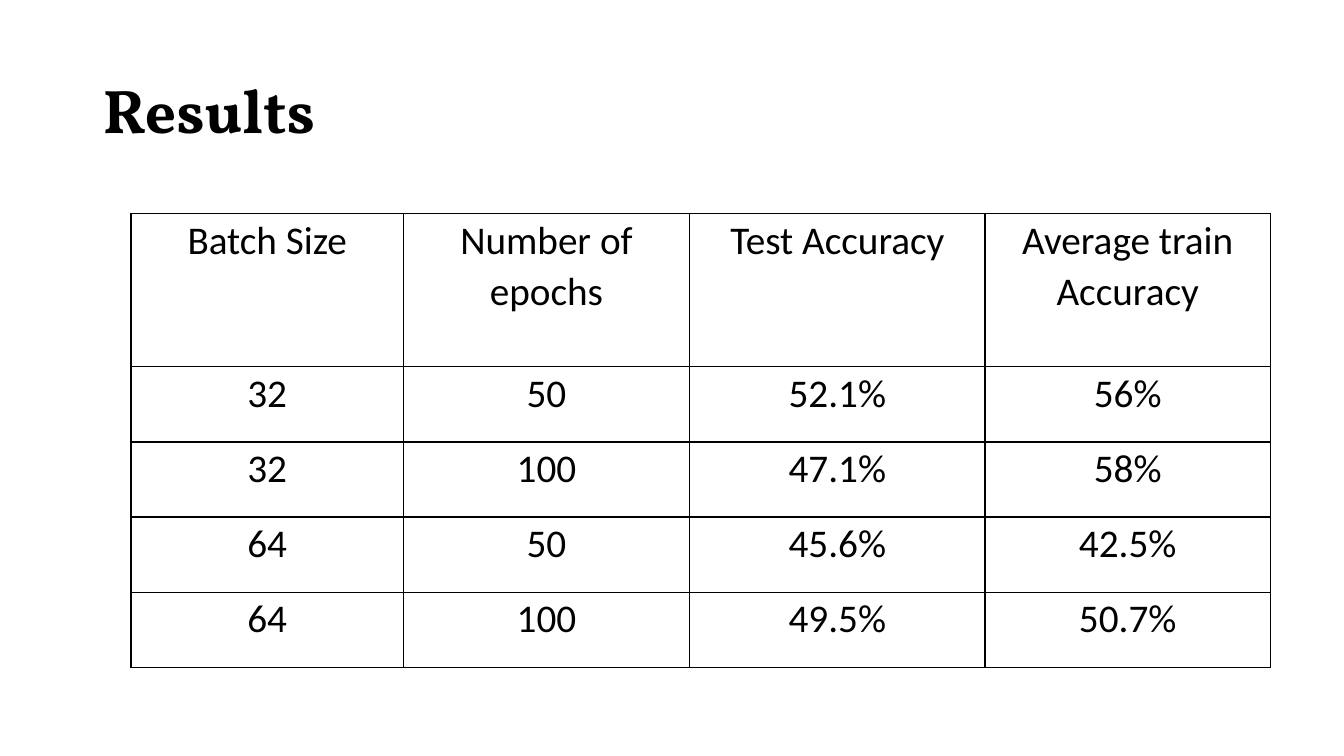
from lxml.etree import SubElement
from pptx import Presentation
from pptx.dml.color import RGBColor
from pptx.enum.text import MSO_ANCHOR, MSO_AUTO_SIZE, PP_ALIGN
from pptx.oxml.ns import qn
from pptx.util import Inches, Pt

COLORS = {"text": "000000", "border": "000000", "background": "FFFFFF"}
TITLE_FONT = {"name": "Vollkorn", "size": Pt(44), "bold": True}
CELL_FONT = {"name": "Calibri", "size": Pt(28), "bold": False}
CELL_FORMAT = {
    "margin_left": Inches(0.07),
    "margin_right": Inches(0.07),
    "margin_top": 0,
    "margin_bottom": 0,
    "vertical_anchor": MSO_ANCHOR.TOP,
}
COLUMN_WIDTHS = [2.7, 2.84, 2.93, 2.83]
HEADER_HEIGHT, ROW_HEIGHT = 1.52, 0.745
RESULTS = [
    ["Batch Size", "Number of epochs", "Test Accuracy", "Average train Accuracy"],
    ["32", "50", "52.1%", "56%"],
    ["32", "100", "47.1%", "58%"],
    ["64", "50", "45.6%", "42.5%"],
    ["64", "100", "49.5%", "50.7%"],
]


def apply_format(target, values):
    for name, value in values.items():
        setattr(target, name, value)


def write_text(frame, text, font, alignment, spacing):
    paragraph = frame.paragraphs[0]
    apply_format(paragraph, {"alignment": alignment, "line_spacing": spacing})
    span = paragraph.add_run()
    span.text = text
    apply_format(span.font, font)
    span.font.color.rgb = RGBColor.from_string(COLORS["text"])


def add_title(page, text):
    title = page.shapes.title
    apply_format(title, {"left": Inches(0.92), "top": Inches(0.4),
                         "width": Inches(11.5), "height": Inches(1.45)})
    apply_format(title.text_frame, {"auto_size": MSO_AUTO_SIZE.NONE, "word_wrap": True,
                                    "vertical_anchor": MSO_ANCHOR.MIDDLE})
    write_text(title.text_frame, text, TITLE_FONT, PP_ALIGN.LEFT, 0.9)


def add_borders(cell):
    properties = cell._tc.get_or_add_tcPr()
    for position, side in enumerate(["lnL", "lnR", "lnT", "lnB"]):
        line = properties.makeelement(qn(f"a:{side}"), {"w": str(Pt(1))})
        fill = SubElement(line, qn("a:solidFill"))
        SubElement(fill, qn("a:srgbClr"), val=COLORS["border"])
        properties.insert(position, line)


def format_cell(cell, text):
    apply_format(cell, CELL_FORMAT)
    cell.fill.solid()
    cell.fill.fore_color.rgb = RGBColor.from_string(COLORS["background"])
    add_borders(cell)
    write_text(cell.text_frame, text, CELL_FONT, PP_ALIGN.CENTER, 1.07)


def add_results_table(page, rows):
    heights = [HEADER_HEIGHT] + [ROW_HEIGHT] * (len(rows) - 1)
    table = page.shapes.add_table(
        len(rows), len(COLUMN_WIDTHS), Inches(1.3), Inches(2.12),
        Inches(sum(COLUMN_WIDTHS)), Inches(sum(heights))).table
    apply_format(table, {"first_row": False, "horz_banding": False})
    for column, width in zip(table.columns, COLUMN_WIDTHS):
        column.width = Inches(width)
    for row, height, values in zip(table.rows, heights, rows):
        row.height = Inches(height)
        for cell, value in zip(row.cells, values):
            format_cell(cell, value)


def main():
    deck = Presentation()
    apply_format(deck, {"slide_width": Inches(13.33), "slide_height": Inches(7.5)})
    page = deck.slides.add_slide(deck.slide_layouts[5])
    add_title(page, "Results")
    add_results_table(page, RESULTS)
    deck.save("out.pptx")


main()
